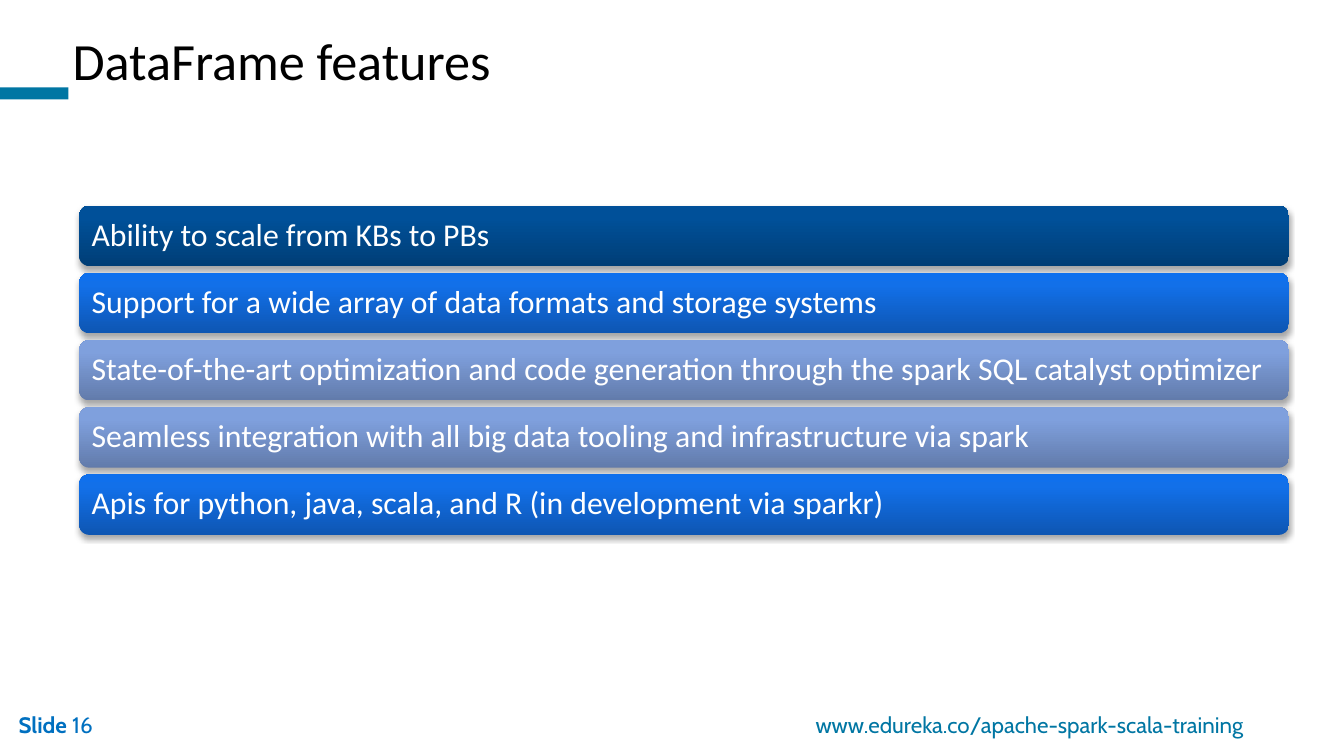
from copy import deepcopy
from dataclasses import dataclass

from lxml import etree
from pptx import Presentation
from pptx.dml.color import RGBColor
from pptx.enum.shapes import MSO_SHAPE
from pptx.enum.text import MSO_ANCHOR, MSO_AUTO_SIZE, PP_ALIGN
from pptx.oxml import parse_xml
from pptx.oxml.ns import nsdecls, qn
from pptx.util import Inches, Pt

RECTANGLE = MSO_SHAPE.RECTANGLE
ROUNDED_RECTANGLE = MSO_SHAPE.ROUNDED_RECTANGLE
MIDDLE = MSO_ANCHOR.MIDDLE
TOP = MSO_ANCHOR.TOP
LEFT = PP_ALIGN.LEFT
NO_AUTOSIZE = MSO_AUTO_SIZE.NONE
TITLE_ONLY_LAYOUT = 5


@dataclass(frozen=True)
class Theme:
    """Colours, fonts and type sizes of the slide."""

    heading_font: str = "Calibri"
    footer_font: str = "Cabin"
    title_size: int = 28
    feature_size: int = 17
    footer_size: int = 12
    title_color: str = "000000"
    feature_color: str = "FFFFFF"
    shadow_color: str = "000000"
    accent: str = "0076A3"
    slide_number: str = "0070C0"
    navy: tuple = ("003E76", "005099", "005099")
    blue: tuple = ("0E56B3", "1270E9", "0E70EE")
    periwinkle: tuple = ("627BAB", "7FA0DD", "7EA0E0")


class SlideBuilder:
    """Draws each kind of element on the current slide in one theme."""

    def __init__(self, slide, theme):
        """Keep the slide and its theme."""
        self.slide = slide
        self.theme = theme

    def format_font(self, font, name, size, color):
        """Apply a typeface, size and colour."""
        font.name = name
        font.size = Pt(size)
        font.color.rgb = RGBColor.from_string(color)

    def add_title(self, text, left, top, width, height):
        """Place the title in its placeholder."""
        title = self.slide.shapes.title
        title.left, title.top = Inches(left), Inches(top)
        title.width, title.height = Inches(width), Inches(height)
        frame = title.text_frame
        frame.text = text
        frame.auto_size = NO_AUTOSIZE
        frame.vertical_anchor = TOP
        paragraph = frame.paragraphs[0]
        paragraph.alignment = LEFT
        theme = self.theme
        self.format_font(paragraph.font, theme.heading_font, theme.title_size, theme.title_color)

    def add_block(self, preset, left, top, width, height):
        """Add a preset shape without a line or shadow."""
        shape = self.slide.shapes.add_shape(
            preset, Inches(left), Inches(top), Inches(width), Inches(height)
        )
        shape.shadow.inherit = False
        shape.line.fill.background()
        return shape

    def add_accent(self, left, top, width, height):
        """Add the solid mark beside the title."""
        shape = self.add_block(RECTANGLE, left, top, width, height)
        shape.fill.solid()
        shape.fill.fore_color.rgb = RGBColor.from_string(self.theme.accent)

    def fill_gradient(self, shape, colors):
        """Fill a shape from bottom to top with three colours."""
        shape.fill.gradient()
        shape.fill.gradient_angle = 90
        stop_list = shape._element.spPr.find(".//" + qn("a:gsLst"))
        stop_list.append(deepcopy(stop_list[-1]))
        stops = shape.fill.gradient_stops
        for stop, position, color in zip(stops, (0, 0.8, 1), colors):
            stop.position = position
            stop.color.rgb = RGBColor.from_string(color)

    def add_shadow(self, shape):
        """Give a shape a soft shadow below it."""
        effects = shape._element.spPr.find(qn("a:effectLst"))
        shadow = parse_xml(
            f'<a:outerShdw {nsdecls("a")} blurRad="{Pt(3.1)}" dist="{Pt(1.8)}"'
            ' dir="5400000" rotWithShape="0"/>'
        )
        color = etree.SubElement(shadow, qn("a:srgbClr"), val=self.theme.shadow_color)
        etree.SubElement(color, qn("a:alpha"), val="35000")
        effects.append(shadow)

    def add_feature(self, text, colors, left, top, width, height):
        """Add a rounded gradient bar with its statement."""
        shape = self.add_block(ROUNDED_RECTANGLE, left, top, width, height)
        self.fill_gradient(shape, colors)
        self.add_shadow(shape)
        frame = shape.text_frame
        frame.text = text
        frame.word_wrap = True
        frame.vertical_anchor = MIDDLE
        frame.margin_left = frame.margin_right = Inches(0.07)
        frame.margin_top = frame.margin_bottom = 0
        paragraph = frame.paragraphs[0]
        paragraph.alignment = LEFT
        paragraph.line_spacing = 0.9
        theme = self.theme
        self.format_font(paragraph.font, theme.heading_font, theme.feature_size, theme.feature_color)

    def add_footer(self, text, color, left, top, width, height, bold_prefix=""):
        """Add a footer text with an optional bold prefix."""
        box = self.slide.shapes.add_textbox(
            Inches(left), Inches(top), Inches(width), Inches(height)
        )
        box.text_frame.word_wrap = True
        paragraph = box.text_frame.paragraphs[0]
        if bold_prefix:
            prefix = paragraph.add_run()
            prefix.text = bold_prefix
            prefix.font.bold = True
        paragraph.add_run().text = text
        self.format_font(paragraph.font, self.theme.footer_font, self.theme.footer_size, color)


def main():
    """Build and save the slide."""
    presentation = Presentation()
    presentation.slide_width = Inches(10)
    presentation.slide_height = presentation.slide_width * 9 // 16
    slide = presentation.slides.add_slide(presentation.slide_layouts[TITLE_ONLY_LAYOUT])
    theme = Theme()
    builder = SlideBuilder(slide, theme)

    builder.add_accent(0, 0.65, 0.51, 0.09)
    builder.add_footer("16", theme.slide_number, 0.04, 5.24, 1.58, 0.3, bold_prefix="Slide ")
    builder.add_footer(
        "www.edureka.co/apache-spark-scala-training", theme.accent, 5.97, 5.24, 3.54, 0.3
    )
    features = (
        ("Ability to scale from KBs to PBs", theme.navy),
        ("Support for a wide array of data formats and storage systems", theme.blue),
        (
            "State-of-the-art optimization and code generation through the spark SQL catalyst optimizer",
            theme.periwinkle,
        ),
        (
            "Seamless integration with all big data tooling and infrastructure via spark",
            theme.periwinkle,
        ),
        ("Apis for python, java, scala, and R (in development via sparkr)", theme.blue),
    )
    for row, (text, colors) in enumerate(features):
        builder.add_feature(text, colors, 0.59, 1.53 + row * 0.5, 9, 0.45)
    builder.add_title("DataFrame features", 0.44, 0.16, 7.82, 0.57)

    presentation.save("out.pptx")


if __name__ == "__main__":
    main()
